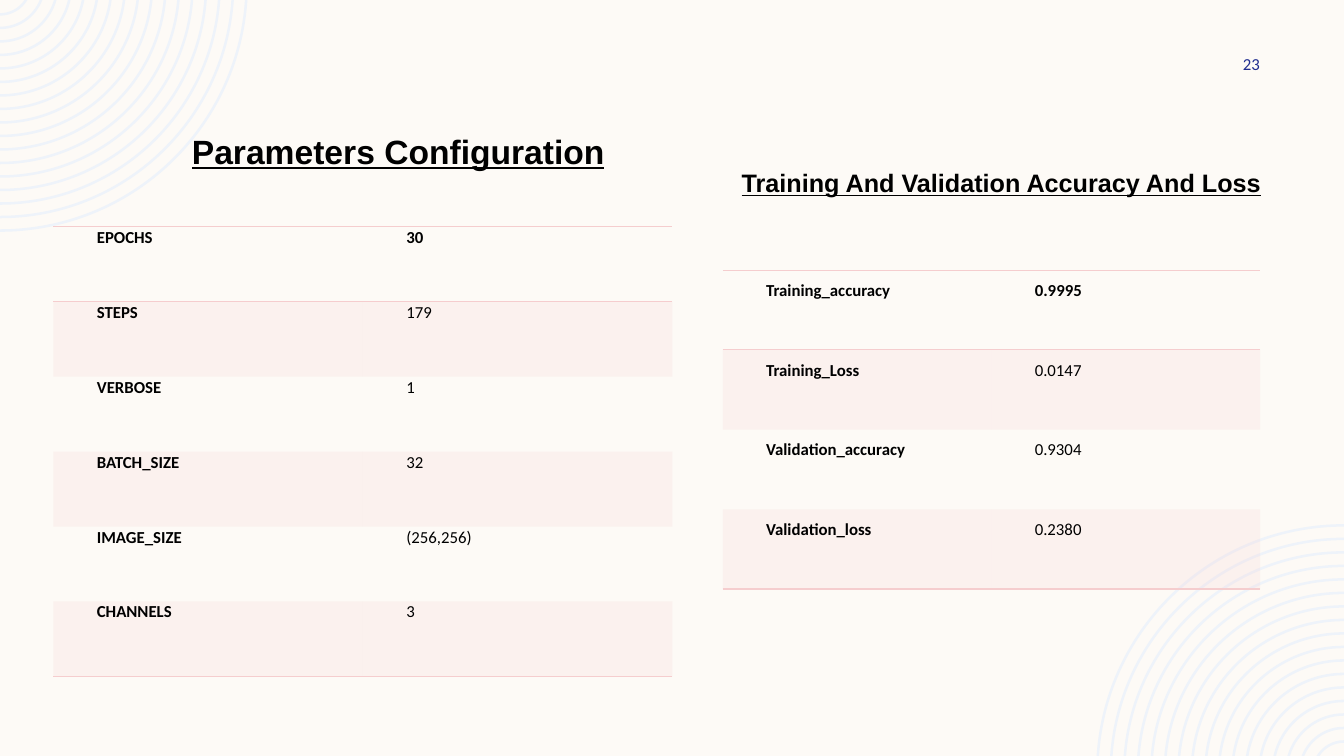
import math

from lxml import etree
from pptx import Presentation, util as u
from pptx.dml.color import RGBColor
from pptx.enum import text
from pptx.oxml import ns

CREAM = RGBColor(0xFD, 0xFA, 0xF6)
PALE_BLUE = RGBColor(0xEE, 0xF3, 0xFA)
PINK = RGBColor(0xF5, 0xCD, 0xCE)
NAVY = RGBColor(0x1F, 0x2C, 0x8F)
BLACK = RGBColor(0, 0, 0)

WIDTH, HEIGHT = u.Inches(13.333), u.Inches(7.5)
PLAIN_TABLE_STYLE = "{2D5ABB26-0587-4C30-8999-92F81FD0307C}"

# Rings: radii in inches, centred just beyond the slide's corner
RING_COUNT, OUTER_RADIUS, RING_STEP, RING_WIDTH = 17, 2.46, 0.134, 0.025
CENTRE_OFFSET = 0.16

PARAMETERS = [
    ("EPOCHS", "30"),
    ("STEPS", "179"),
    ("VERBOSE", "1"),
    ("BATCH_SIZE", "32"),
    ("IMAGE_SIZE", "(256,256)"),
    ("CHANNELS", "3"),
]
RESULTS = [
    ("Training_accuracy", "0.9995"),
    ("Training_Loss", "0.0147"),
    ("Validation_accuracy", "0.9304"),
    ("Validation_loss", "0.2380"),
]


def area(left, top, width, height):
    """Turn percentages of the slide's size into lengths."""
    return [round(share * side / 100) for share, side in
            ((left, WIDTH), (top, HEIGHT), (width, WIDTH), (height, HEIGHT))]


def style_font(font, size, name, color, bold=False, underline=False):
    font.size, font.name = u.Pt(size), name
    font.bold, font.underline = bold, underline
    font.color.rgb = color


def arc_points(radius):
    """Bezier points of an arc from the slide's top edge to its left edge."""
    start = math.asin(CENTRE_OFFSET / radius)
    reach = radius * 4 / 3 * math.tan((math.pi / 2 - start) / 4)
    x, y = radius * math.cos(start), radius - CENTRE_OFFSET
    return [(x, 0),
            (x - reach * math.sin(start), reach * math.cos(start)),
            (reach, y),
            (0, y)]


def curve_outline(shape):
    """Each ring has seven segments: curve (3), edge (1), curve (3)."""
    lines = list(shape._element.iter(ns.qn("a:lnTo")))
    for ring_start in range(0, len(lines), 7):
        for first in (ring_start, ring_start + 4):
            curve = etree.Element(ns.qn("a:cubicBezTo"))
            lines[first].addprevious(curve)
            for line in lines[first:first + 3]:
                curve.append(line[0])
                line.getparent().remove(line)


def add_rings(page, opposite_corner=False):
    def place(point):
        x, y = (u.Inches(length) for length in point)
        return (WIDTH - x, HEIGHT - y) if opposite_corner else (x, y)

    builder = None
    for ring in range(RING_COUNT):
        radius = OUTER_RADIUS - ring * RING_STEP
        outline = arc_points(radius) + arc_points(radius - RING_WIDTH)[::-1]
        first, *others = [place(point) for point in outline]
        if builder is None:
            builder = page.shapes.build_freeform(*first)
        else:
            builder.move_to(*first)
        builder.add_line_segments(others, close=True)
    rings = builder.convert_to_shape()
    curve_outline(rings)
    rings.shadow.inherit = False
    rings.fill.solid()
    rings.fill.fore_color.rgb = PALE_BLUE
    rings.line.fill.background()


def fill_heading(box, words, size, align):
    frame = box.text_frame
    frame.word_wrap = True
    frame.auto_size = text.MSO_AUTO_SIZE.NONE
    frame.vertical_anchor = text.MSO_ANCHOR.TOP
    para = frame.paragraphs[0]
    para.text, para.alignment = words, align
    style_font(para.font, size, "Arial", BLACK, bold=True, underline=True)


def add_page_number(page, number):
    box = page.shapes.add_textbox(*area(85.65, 6.67, 8.1, 3.6))
    frame = box.text_frame
    frame.word_wrap = True
    frame.vertical_anchor = text.MSO_ANCHOR.MIDDLE
    frame.margin_right = 0
    para = frame.paragraphs[0]
    para.text, para.alignment = number, text.PP_ALIGN.RIGHT
    style_font(para.font, 12, "Calibri", NAVY)


def tint_cell(cell):
    cell.fill.solid()
    cell.fill.fore_color.rgb = PINK
    color = cell._tc.tcPr.find(".//" + ns.qn("a:srgbClr"))
    etree.SubElement(color, ns.qn("a:alpha"), val="20000")


def rule_cell(cell, sides):
    """Draw pink lines; they must stand ahead of the fill."""
    for position, side in enumerate(sides):
        line = etree.Element(ns.qn("a:ln" + side), w=str(u.Pt(1)))
        solid = etree.SubElement(line, ns.qn("a:solidFill"))
        etree.SubElement(solid, ns.qn("a:srgbClr"), val=str(PINK))
        cell._tc.get_or_add_tcPr().insert(position, line)


def fill_cell(cell, words, bold, spacing):
    cell.margin_left = cell.margin_right = u.Inches(0.07)
    cell.margin_top = cell.margin_bottom = 0
    para = cell.text_frame.paragraphs[0]
    para.text = words
    para.line_spacing, para.space_after = spacing, u.Pt(6)
    indents = para._p.get_or_add_pPr()
    indents.set("marL", str(u.Inches(0.37)))
    indents.set("indent", str(u.Inches(-0.01)))
    style_font(para.font, 12, "Calibri", BLACK, bold)


def add_value_table(page, rows, place, spacing):
    table = page.shapes.add_table(len(rows), 2, *place).table
    table.first_row = table.horz_banding = False
    table._tbl.tblPr.find(ns.qn("a:tableStyleId")).text = PLAIN_TABLE_STYLE
    for row, entries in enumerate(rows):
        for column, words in enumerate(entries):
            cell = table.cell(row, column)
            fill_cell(cell, words, row == 0 or column == 0, spacing)
            if row % 2:
                tint_cell(cell)
            if row == 0:
                rule_cell(cell, "TB")
            elif row == len(rows) - 1:
                rule_cell(cell, "B")


def main():
    deck = Presentation()
    deck.slide_width, deck.slide_height = WIDTH, HEIGHT
    page = deck.slides.add_slide(deck.slide_layouts[5])
    page.background.fill.solid()
    page.background.fill.fore_color.rgb = CREAM

    # Corner decoration and page number
    add_rings(page)
    add_rings(page, opposite_corner=True)
    add_page_number(page, "23")

    # Tables
    add_value_table(page, PARAMETERS, area(3.98, 30, 46.05, 59.47), 1.03)
    add_value_table(page, RESULTS, area(53.78, 35.73, 39.98, 42.2), 1.5)

    # Headings
    title = page.shapes.title
    title.left, title.top, title.width, title.height = area(6.98, 16.67, 45.3, 6.67)
    fill_heading(title, "Parameters Configuration", 24, text.PP_ALIGN.CENTER)
    heading = page.shapes.add_textbox(*area(54.45, 21.47, 44.63, 5.33))
    fill_heading(heading, "Training And Validation Accuracy And Loss", 18,
                 text.PP_ALIGN.LEFT)

    deck.save("out.pptx")


if __name__ == "__main__":
    main()
